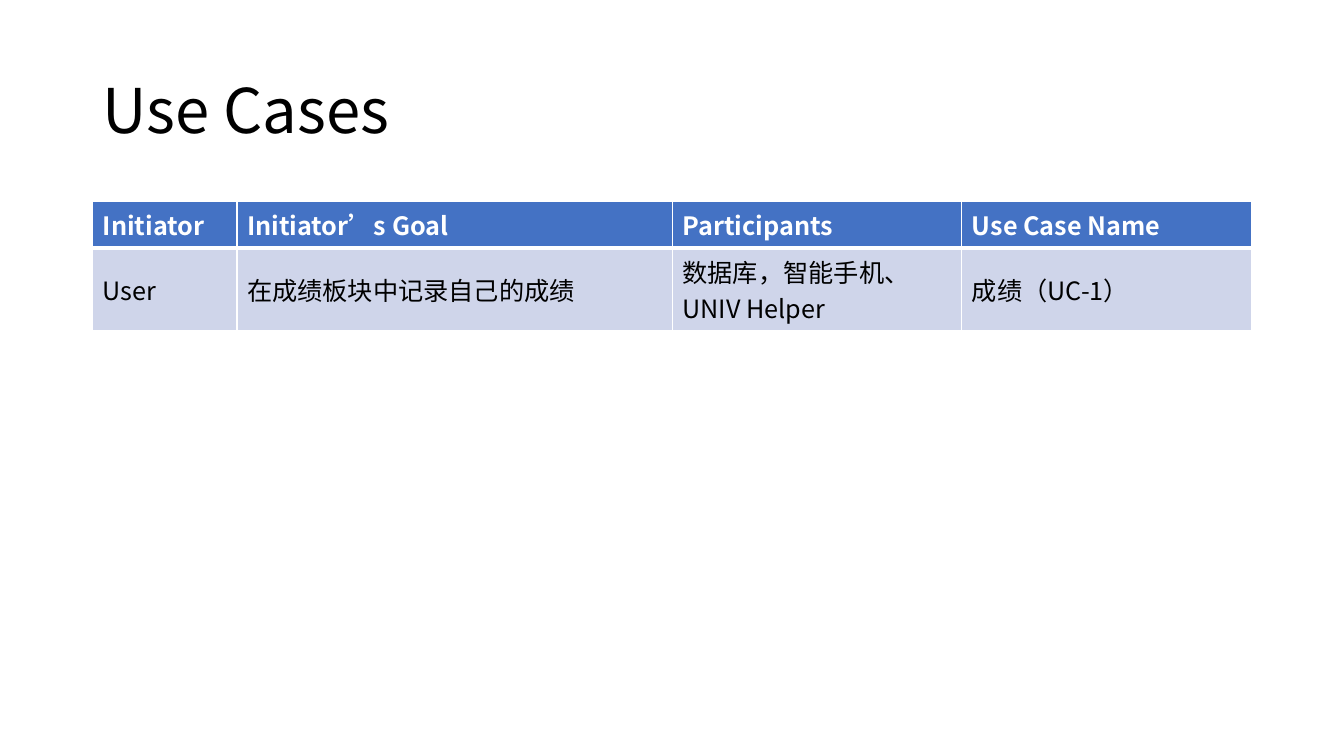
import dataclasses
import lxml.etree
import pptx
import pptx.dml.color
import pptx.enum.text
import pptx.oxml.ns
import pptx.util

Inches = pptx.util.Inches
Anchor = pptx.enum.text.MSO_ANCHOR


@dataclasses.dataclass(frozen=True)
class Theme:
    font: str = "Noto Sans CJK SC"
    ink: str = "000000"
    paper: str = "FFFFFF"
    head: str = "4472C4"
    band: str = "CFD5EA"
    title: int = 44
    body: int = 18
    thin: int = 1
    thick: int = 3


THEME = Theme()
WIDTHS = (1.43, 4.32, 2.87, 2.87)
HEIGHTS = (0.46, 0.82)
HEADS = ("Initiator", "Initiator’s Goal", "Participants", "Use Case Name")
CASE = ("User", "在成绩板块中记录自己的成绩", "数据库，智能手机、UNIV Helper", "成绩（UC-1）")


def color(code):
    return pptx.dml.color.RGBColor.from_string(code)


def add_node(base, tag, **attrs):
    return lxml.etree.SubElement(base, pptx.oxml.ns.qn(tag), **attrs)


def put_text(frame, text, size=THEME.body, ink=THEME.ink, bold=False, space=1.0):
    line = frame.paragraphs[0]
    line.line_spacing = space
    run = line.add_run()
    run.text = text
    run.font.size = pptx.util.Pt(size)
    run.font.bold = bold
    run.font.color.rgb = color(ink)
    run.font.name = THEME.font
    add_node(run.font._element, "a:ea", typeface=THEME.font)


def add_title(slide, text):
    box = slide.shapes.add_textbox(Inches(0.92), Inches(0.4), Inches(11.5), Inches(1.45))
    frame = box.text_frame
    frame.word_wrap = True
    frame.vertical_anchor = Anchor.MIDDLE
    put_text(frame, text, size=THEME.title, space=0.9)


def set_edges(cell, **edges):
    props = cell._tc.get_or_add_tcPr()
    for side in "LRTB":
        width = pptx.util.Pt(edges.get(side, THEME.thin))
        edge = add_node(props, "a:ln" + side, w=str(width))
        fill = add_node(edge, "a:solidFill")
        add_node(fill, "a:srgbClr", val=THEME.paper)


def fill_row(table, row, texts, fill, edges, anchor=Anchor.MIDDLE, **style):
    for col, text in enumerate(texts):
        cell = table.cell(row, col)
        set_edges(cell, **edges)
        cell.fill.solid()
        cell.fill.fore_color.rgb = color(fill)
        cell.vertical_anchor = anchor
        put_text(cell.text_frame, text, **style)


def add_cases(slide):
    frame = slide.shapes.add_table(
        len(HEIGHTS), len(WIDTHS), Inches(0.92), Inches(2),
        Inches(sum(WIDTHS)), Inches(sum(HEIGHTS)))
    table = frame.table
    for col, width in zip(table.columns, WIDTHS):
        col.width = Inches(width)
    for row, height in zip(table.rows, HEIGHTS):
        row.height = Inches(height)
    fill_row(table, 0, HEADS, THEME.head, {"B": THEME.thick},
             anchor=Anchor.TOP, ink=THEME.paper, bold=True)
    fill_row(table, 1, CASE, THEME.band, {"T": THEME.thick})


def main():
    deck = pptx.Presentation()
    deck.slide_width = Inches(13.33)
    deck.slide_height = Inches(7.5)
    slide = deck.slides.add_slide(deck.slide_layouts[6])
    add_title(slide, "Use Cases")
    add_cases(slide)
    deck.save("out.pptx")


main()
